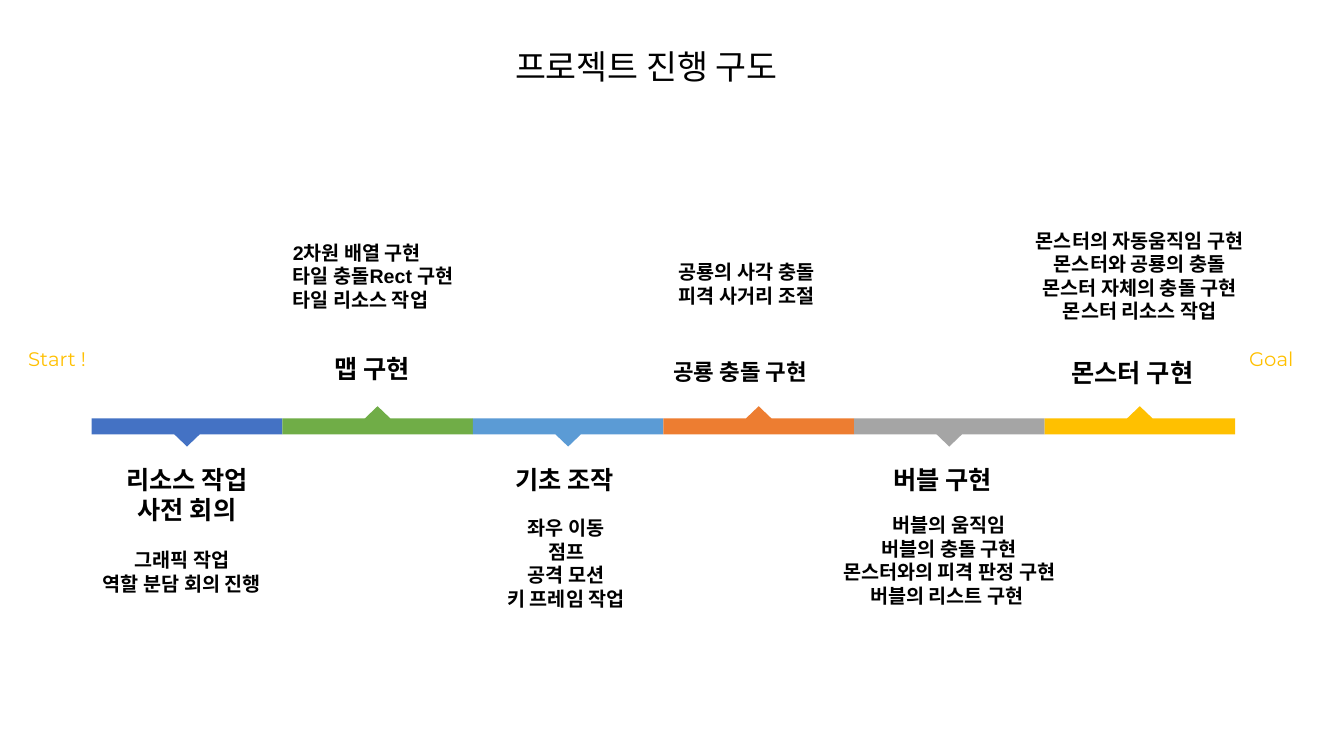
from dataclasses import dataclass

from pptx import Presentation
from pptx.dml.color import RGBColor
from pptx.enum.text import MSO_AUTO_SIZE, PP_ALIGN
from pptx.util import Inches, Pt

LEFT, CENTER = PP_ALIGN.LEFT, PP_ALIGN.CENTER
FIT = MSO_AUTO_SIZE.SHAPE_TO_FIT_TEXT


@dataclass(frozen=True)
class Theme:
    ink: str = "000000"
    accent: str = "FFC000"
    bands: tuple = ("4472C4", "70AD47", "5B9BD5", "ED7D31", "A5A5A5", "FFC000")
    font: str = "Arial"
    label_font: str = "Montserrat"
    title: int = 24
    heading: int = 18
    heading_small: int = 16
    body: int = 14


THEME = Theme()


@dataclass(frozen=True)
class Block:
    lines: tuple
    top: float
    width: float
    dx: float = 0  # shift from the middle of the stage
    size: int = THEME.body
    align: int = CENTER


def heading(*lines, size=THEME.heading, **place):
    return Block(lines, size=size, align=CENTER if len(lines) > 1 else LEFT, **place)


# Heading and details of each stage; they alternate below and above the bar
STAGES = [
    (heading("리소스 작업", "사전 회의", top=4.56, width=1.55),
     Block(("그래픽 작업", "역할 분담 회의 진행"), 5.39, 1.98, -0.05)),
    (heading("맵 구현", top=3.46, width=1.05),
     Block(("2차원 배열 구현", "타일 충돌Rect 구현", "타일 리소스 작업"),
           2.34, 1.92, 0.02, align=LEFT)),
    (heading("기초 조작", top=4.56, width=1.3, dx=0.03),
     Block(("좌우 이동", "점프", "공격 모션", "키 프레임 작업"), 5.07, 1.52, -0.02)),
    (heading("공룡 충돌 구현", top=3.5, width=1.71, dx=-0.09, size=THEME.heading_small),
     Block(("공룡의 사각 충돌", "피격 사거리 조절"), 2.53, 1.71, -0.12)),
    (heading("버블 구현", top=4.56, width=1.3),
     Block(("버블의 움직임", "버블의 충돌 구현", "몬스터와의 피격 판정 구현",
            "버블의 리스트 구현 "), 5.04, 2.57)),
    (heading("몬스터 구현", top=3.5, width=1.55),
     Block(("몬스터의 자동움직임 구현", "몬스터와 공룡의 충돌", "몬스터 자체의 충돌 구현",
            "몬스터 리소스 작업"), 2.22, 2.5)),
]


def add_text(s, lines, x, y, w, size=THEME.body, font=THEME.font,
             color=THEME.ink, bold=False, align=LEFT):
    h = 0.1 + len(lines) * size / 60
    tf = s.shapes.add_textbox(Inches(x), Inches(y), Inches(w), Inches(h)).text_frame
    tf.word_wrap = False
    tf.auto_size = FIT
    for i, line in enumerate(lines):
        p = tf.paragraphs[0] if i == 0 else tf.add_paragraph()
        p.alignment = align
        r = p.add_run()
        r.text = line
        r.font.name, r.font.size, r.font.bold = font, Pt(size), bold
        r.font.color.rgb = RGBColor.from_string(color)


def add_band(shapes, x, y, w, h, color, up):
    """Draw one bar segment with a pointer in the middle of one long side."""
    mid, half, tip = x + w / 2, 0.125, 0.12
    flat, edge = (y + h, y) if up else (y, y + h)
    peak = edge - tip if up else edge + tip
    outline = [(x, flat), (x + w, flat), (x + w, edge), (mid + half, edge),
               (mid, peak), (mid - half, edge), (x, edge)]
    points = [(Inches(px), Inches(py)) for px, py in outline]
    builder = shapes.build_freeform(*points[0])
    builder.add_line_segments(points[1:], close=True)
    sp = builder.convert_to_shape()
    sp.shadow.inherit = False
    sp.fill.solid()
    sp.fill.fore_color.rgb = RGBColor.from_string(color)
    sp.line.fill.background()


def add_timeline(s, x, y, w, h):
    step = w / len(STAGES)
    bar = s.shapes.add_group_shape()
    for i, (stage, color) in enumerate(zip(STAGES, THEME.bands)):
        left = x + i * step
        add_band(bar.shapes, left, y, step, h, color, up=i % 2 == 1)
        for block in stage:
            block_x = left + (step - block.width) / 2 + block.dx
            add_text(s, block.lines, block_x, block.top, block.width,
                     size=block.size, bold=True, align=block.align)

    # Labels at both ends
    for label, label_x, label_w in (("Start !", x - 0.73, 0.88),
                                    ("Goal", x + w + 0.04, 0.69)):
        add_text(s, [label], label_x, y - 0.76, label_w,
                 font=THEME.label_font, color=THEME.accent)


def main():
    prs = Presentation()
    prs.slide_width, prs.slide_height = Inches(13.33), Inches(7.5)
    s = prs.slides.add_slide(prs.slide_layouts[6])
    add_text(s, ["프로젝트 진행 구도"], 5.01, 0.41, 3.13, size=THEME.title)
    add_timeline(s, 0.91, 4.15, 11.34, 0.16)
    prs.save("out.pptx")


if __name__ == "__main__":
    main()
